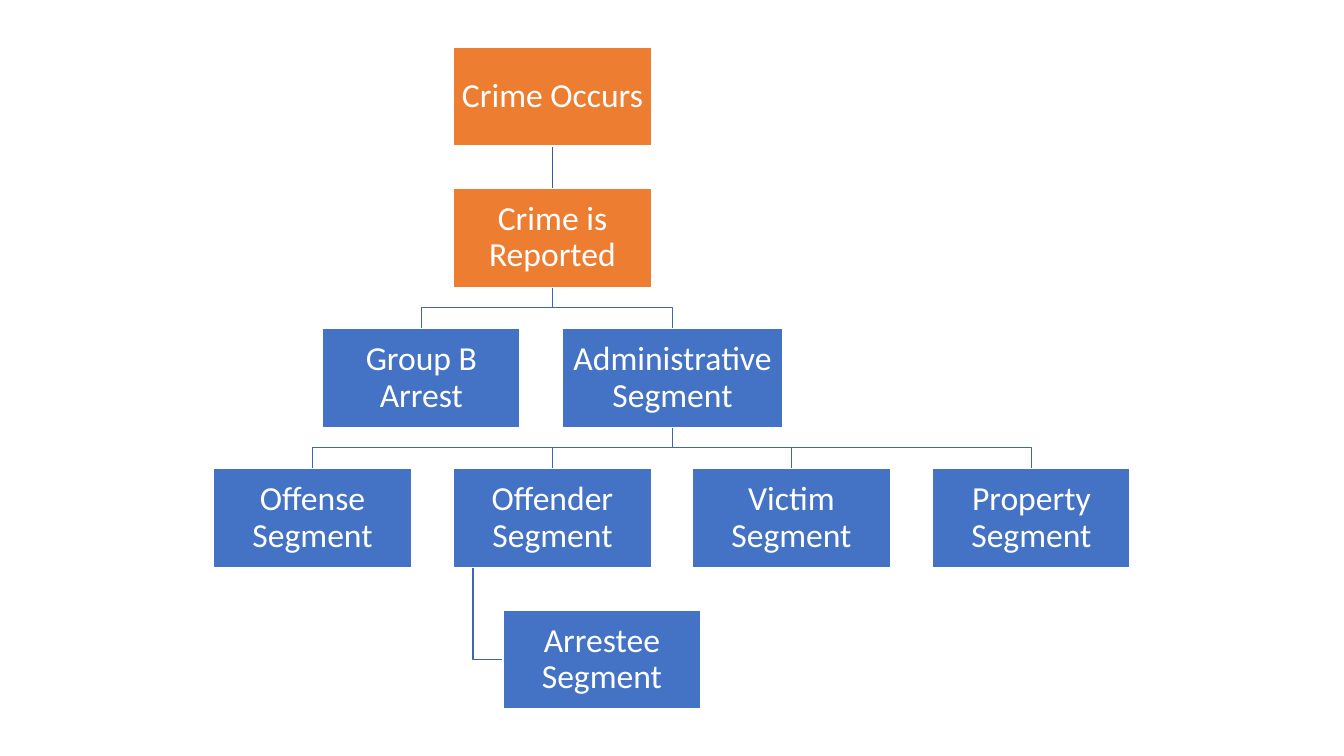
from dataclasses import dataclass

from lxml import etree
from pptx import Presentation
from pptx.dml.color import RGBColor
from pptx.enum.shapes import MSO_CONNECTOR as Connector, MSO_SHAPE as Preset
from pptx.enum.text import MSO_ANCHOR as Anchor, PP_ALIGN as Align
from pptx.oxml.ns import qn
from pptx.shapes.autoshape import Shape
from pptx.util import Pt

PX = 9144  # EMU; 100 px to the inch
COLORS = {
    "event": "ED7D31",
    "segment": "4472C4",
    "branch": "3E67B2",
    "trunk": "365B9D",
    "white": "FFFFFF",
}
FIRST_TOP, ROW_STEP = 47, 139.5
FIRST_LEFT, COLUMN_STEP = 212, 237.6
HANG_INDENT = 19


def column(index: int) -> int:
    return FIRST_LEFT + round(COLUMN_STEP * index)


@dataclass(frozen=True)
class Node:
    text: str
    left: int
    row: int
    color: str = "segment"
    width: int = 196
    height: int = 98

    @property
    def top(self) -> int:
        return FIRST_TOP + round(ROW_STEP * self.row)

    @property
    def bottom(self) -> int:
        return self.top + self.height

    @property
    def center(self) -> int:
        return self.left + self.width // 2

    @property
    def middle(self) -> int:
        return self.top + self.height // 2


OCCURS = Node("Crime Occurs", column(1), 0, "event")
REPORTED = Node("Crime is Reported", column(1), 1, "event")
GROUP_B = Node("Group B Arrest", 320, 2)
ADMIN = Node("Administrative Segment", 558, 2, width=218)
OFFENSE, OFFENDER, VICTIM, PROPERTY = [
    Node(f"{name} Segment", column(index), 3)
    for index, name in enumerate(["Offense", "Offender", "Victim", "Property"])
]
ARRESTEE = Node("Arrestee Segment", 499, 4)

NODES = [OCCURS, REPORTED, GROUP_B, ADMIN, OFFENSE, OFFENDER, ARRESTEE, VICTIM, PROPERTY]
BRANCHES = {REPORTED: [ADMIN, GROUP_B], ADMIN: [PROPERTY, VICTIM, OFFENDER, OFFENSE]}


def rgb(name: str) -> RGBColor:
    return RGBColor.from_string(COLORS[name])


def set_line(item, color: str) -> None:
    item.line.color.rgb = rgb(color)
    item.line.width = Pt(1)


def write_text(box: Shape, text: str, *, size: int, color: str, font: str = "Calibri") -> None:
    frame = box.text_frame
    frame.word_wrap = True
    frame.vertical_anchor = Anchor.MIDDLE
    frame.margin_left = frame.margin_right = frame.margin_top = frame.margin_bottom = 2 * PX
    para = frame.paragraphs[0]
    para.alignment = Align.CENTER
    para.line_spacing = 0.9
    span = para.add_run()
    span.text = text
    span.font.name = font
    span.font.size = Pt(size)
    span.font.color.rgb = rgb(color)


def add_branch(page, points: list[tuple[int, int]]) -> None:
    start, *rest = [(x * PX, y * PX) for x, y in points]
    builder = page.shapes.build_freeform(*start)
    builder.add_line_segments(rest, close=False)
    branch = builder.convert_to_shape()
    branch.shadow.inherit = False
    branch.fill.background()
    set_line(branch, "branch")


def add_box(page, node: Node) -> Shape:
    box = page.shapes.add_shape(
        Preset.RECTANGLE, node.left * PX, node.top * PX, node.width * PX, node.height * PX
    )
    box.shadow.inherit = False
    box.fill.solid()
    box.fill.fore_color.rgb = rgb(node.color)
    set_line(box, "white")
    write_text(box, node.text, size=24, color="white")
    return box


def main() -> None:
    deck = Presentation()
    deck.slide_width, deck.slide_height = 1333 * PX, 750 * PX
    page = deck.slides.add_slide(deck.slide_layouts[6])

    for parent, children in BRANCHES.items():
        for child in children:
            bend = (parent.bottom + child.top) // 2
            add_branch(page, [(parent.center, parent.bottom), (parent.center, bend),
                              (child.center, bend), (child.center, child.top)])
    hang = OFFENDER.left + HANG_INDENT
    add_branch(page, [(hang, OFFENDER.bottom), (hang, ARRESTEE.middle),
                      (ARRESTEE.left, ARRESTEE.middle)])

    trunk = page.shapes.add_connector(
        Connector.STRAIGHT, OCCURS.center * PX, OCCURS.bottom * PX,
        REPORTED.center * PX, REPORTED.top * PX,
    )
    set_line(trunk, "trunk")
    etree.SubElement(trunk._element.spPr, qn("a:effectLst"))

    boxes = {node: add_box(page, node) for node in NODES}
    trunk.begin_connect(boxes[OCCURS], 2)
    trunk.end_connect(boxes[REPORTED], 0)

    deck.save("out.pptx")


if __name__ == "__main__":
    main()
